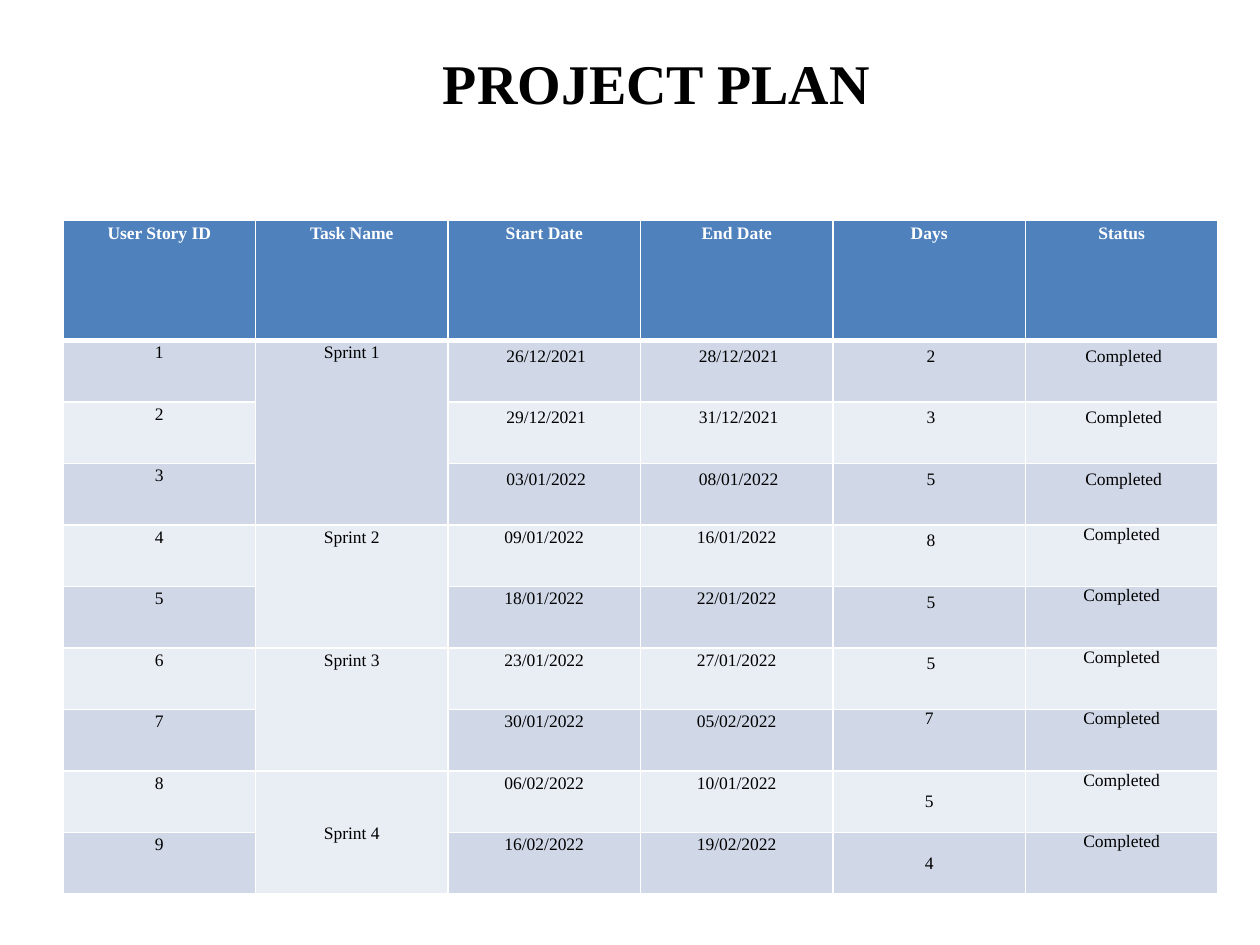
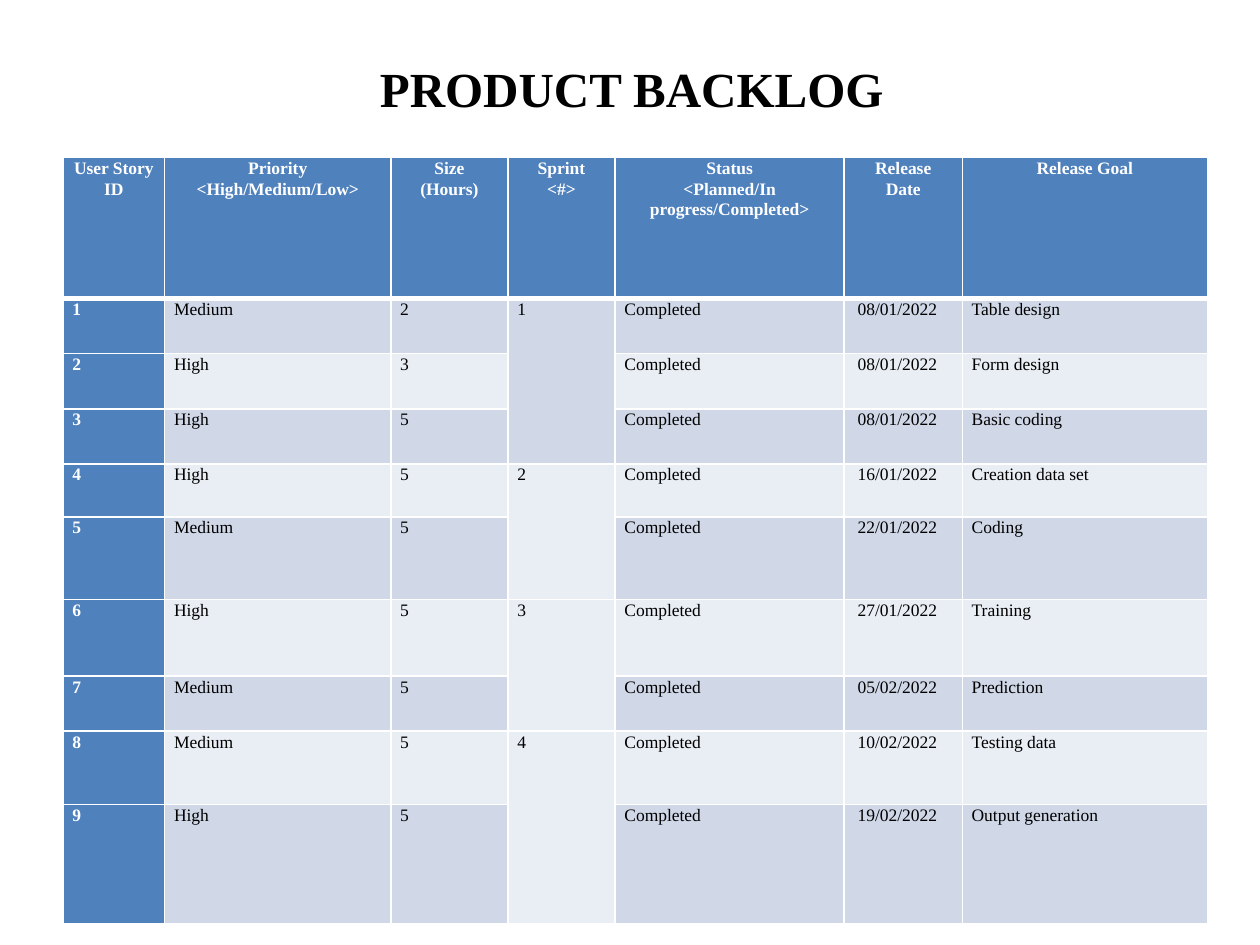
import pptx
import pptx.dml.color
import pptx.enum.text
import pptx.oxml
import pptx.oxml.ns
import pptx.util

Cm, Pt = pptx.util.Cm, pptx.util.Pt
RGB = pptx.dml.color.RGBColor
ALIGN = pptx.enum.text.PP_ALIGN
ANCHOR = pptx.enum.text.MSO_ANCHOR
FIT = pptx.enum.text.MSO_AUTO_SIZE

FONT = "Times New Roman"
BLUE = RGB(0x4F, 0x81, 0xBD)
DARK = RGB(0xD0, 0xD8, 0xE8)
LIGHT = RGB(0xE9, 0xED, 0xF4)
WHITE = RGB(0xFF, 0xFF, 0xFF)
BLACK = RGB(0, 0, 0)

TIGHT = (0.19, 0)
ROOMY = (0.27, 0.13)

# An empty sprint cell continues the sprint above it.
PLAN = [
    ("User Story ID", "Task Name", "Start Date", "End Date", "Days", "Status"),
    ("1", "Sprint 1", "26/12/2021", "28/12/2021", "2", "Completed"),
    ("2", "", "29/12/2021", "31/12/2021", "3", "Completed"),
    ("3", "", "03/01/2022", "08/01/2022", "5", "Completed"),
    ("4", "Sprint 2", "09/01/2022", "16/01/2022", "8", "Completed"),
    ("5", "", "18/01/2022", "22/01/2022", "5", "Completed"),
    ("6", "Sprint 3", "23/01/2022", "27/01/2022", "5", "Completed"),
    ("7", "", "30/01/2022", "05/02/2022", "7", "Completed"),
    ("8", "Sprint 4", "06/02/2022", "10/01/2022", "5", "Completed"),
    ("9", "", "16/02/2022", "19/02/2022", "4", "Completed"),
]
BACKLOG = [
    ("User Story ID", "Priority\n<High/Medium/Low>", "Size\n(Hours)", "Sprint\n<#>",
     "Status\n<Planned/In progress/Completed>", "Release\nDate", "Release Goal"),
    ("1", "Medium", "2", "1", "Completed", "08/01/2022", "Table design"),
    ("2", "High", "3", "", "Completed", "08/01/2022", "Form design"),
    ("3", "High", "5", "", "Completed", "08/01/2022", "Basic coding"),
    ("4", "High", "5", "2", "Completed", "16/01/2022", "Creation data set"),
    ("5", "Medium", "5", "", "Completed", "22/01/2022", "Coding"),
    ("6", "High", "5", "3", "Completed", "27/01/2022", "Training"),
    ("7", "Medium", "5", "", "Completed", "05/02/2022", "Prediction"),
    ("8", "Medium", "5", "4", "Completed", "10/02/2022", "Testing data"),
    ("9", "High", "5", "", "Completed", "19/02/2022", "Output generation"),
]
PLAN_COLS = [3.88] * 6
PLAN_ROWS = [2.41] + [1.24] * 9
LOG_COLS = [2.05, 4.56, 2.36, 2.16, 4.62, 2.38, 4.94]
LOG_ROWS = [2.84, 1.11, 1.11, 1.11, 1.07, 1.67, 1.54, 1.11, 1.48, 2.4]


def write(frame, text, size=10, color=BLACK, bold=False, align=ALIGN.LEFT, gap=None):
    """Fill a text frame, one paragraph for each line."""
    for num, line in enumerate(text.split("\n")):
        para = frame.add_paragraph() if num else frame.paragraphs[0]
        para.alignment = align
        if gap:
            para.line_spacing = gap
        run = para.add_run()
        run.text = line
        font = run.font
        font.name, font.size, font.bold = FONT, Pt(size), bold
        font.color.rgb = color


def add_title(slide, text, left, top, width, height, size, wrap):
    box = slide.shapes.add_textbox(Cm(left), Cm(top), Cm(width), Cm(height))
    frame = box.text_frame
    frame.word_wrap = wrap
    frame.auto_size = FIT.SHAPE_TO_FIT_TEXT
    write(frame, text, size=size, bold=True)


def edge(cell, row):
    """Draw white cell borders, thick between header and body."""
    props = cell._tc.get_or_add_tcPr()
    thick = {0: "B", 1: "T"}.get(row)
    for side in "LRTB":
        width = Pt(3 if side == thick else 1)
        props.append(pptx.oxml.parse_xml(
            f'<a:ln{side} {pptx.oxml.ns.nsdecls("a")} w="{width}"><a:solidFill>'
            f'<a:srgbClr val="{WHITE}"/></a:solidFill></a:ln{side}>'))


def plan_style(row, col):
    """Return insets, line spacing, alignment and anchor of a plan cell."""
    roomy = 1 <= row <= 3 and col >= 2 or 4 <= row <= 6 and col == 4
    single = row and (roomy or col >= 4)
    low = row >= 8 and col in (1, 4)
    return (ROOMY if roomy else TIGHT, None if single else 1.15,
            ALIGN.CENTER, ANCHOR.MIDDLE if low else ANCHOR.TOP)


def log_style(row, col):
    """Return insets, line spacing, alignment and anchor of a backlog cell."""
    inset = (0.27, 0) if row and col == 5 else TIGHT
    return inset, 1.07, ALIGN.LEFT if row else ALIGN.CENTER, ANCHOR.TOP


def add_grid(slide, data, cols, rows, top, sprint, style, lead=False):
    """Add a table; lead gives the first column the header look."""
    table = slide.shapes.add_table(len(rows), len(cols), Cm(1.27), Cm(top),
                                   Cm(sum(cols)), Cm(sum(rows))).table
    table.horz_banding = False
    for part, width in zip(table.columns, cols):
        part.width = Cm(width)
    for part, height in zip(table.rows, rows):
        part.height = Cm(height)
    for row, line in enumerate(data):
        for col, text in enumerate(line):
            cell = table.cell(row, col)
            inset, gap, align, anchor = style(row, col)
            head = row == 0 or lead and col == 0
            edge(cell, row)
            cell.fill.solid()
            cell.fill.fore_color.rgb = BLUE if head else DARK if row % 2 else LIGHT
            cell.margin_left, cell.margin_top = map(Cm, inset)
            cell.margin_right, cell.margin_bottom = Cm(TIGHT[0]), Cm(inset[1])
            cell.vertical_anchor = anchor
            if text:
                write(cell.text_frame, text, color=WHITE if head else BLACK,
                      bold=head, align=align, gap=gap)
    starts = [row for row, line in enumerate(data) if row and line[sprint]]
    for first, after in zip(starts, starts[1:] + [len(data)]):
        table.cell(first, sprint).merge(table.cell(after - 1, sprint))


def main():
    deck = pptx.Presentation()
    deck.slide_width, deck.slide_height = Cm(25.4), Cm(19.05)
    blank = deck.slide_layouts[6]

    plan = deck.slides.add_slide(blank)
    add_grid(plan, PLAN, PLAN_COLS, PLAN_ROWS, 4.45, 1, plan_style)
    add_title(plan, "PROJECT PLAN", 8.68, 0.85, 9.2, 1.62, 32, False)

    log = deck.slides.add_slide(blank)
    add_grid(log, BACKLOG, LOG_COLS, LOG_ROWS, 3.18, 3, log_style, lead=True)
    add_title(log, "PRODUCT BACKLOG", 7.41, 1.06, 12.07, 1.45, 28, True)

    deck.save("out.pptx")


if __name__ == "__main__":
    main()
